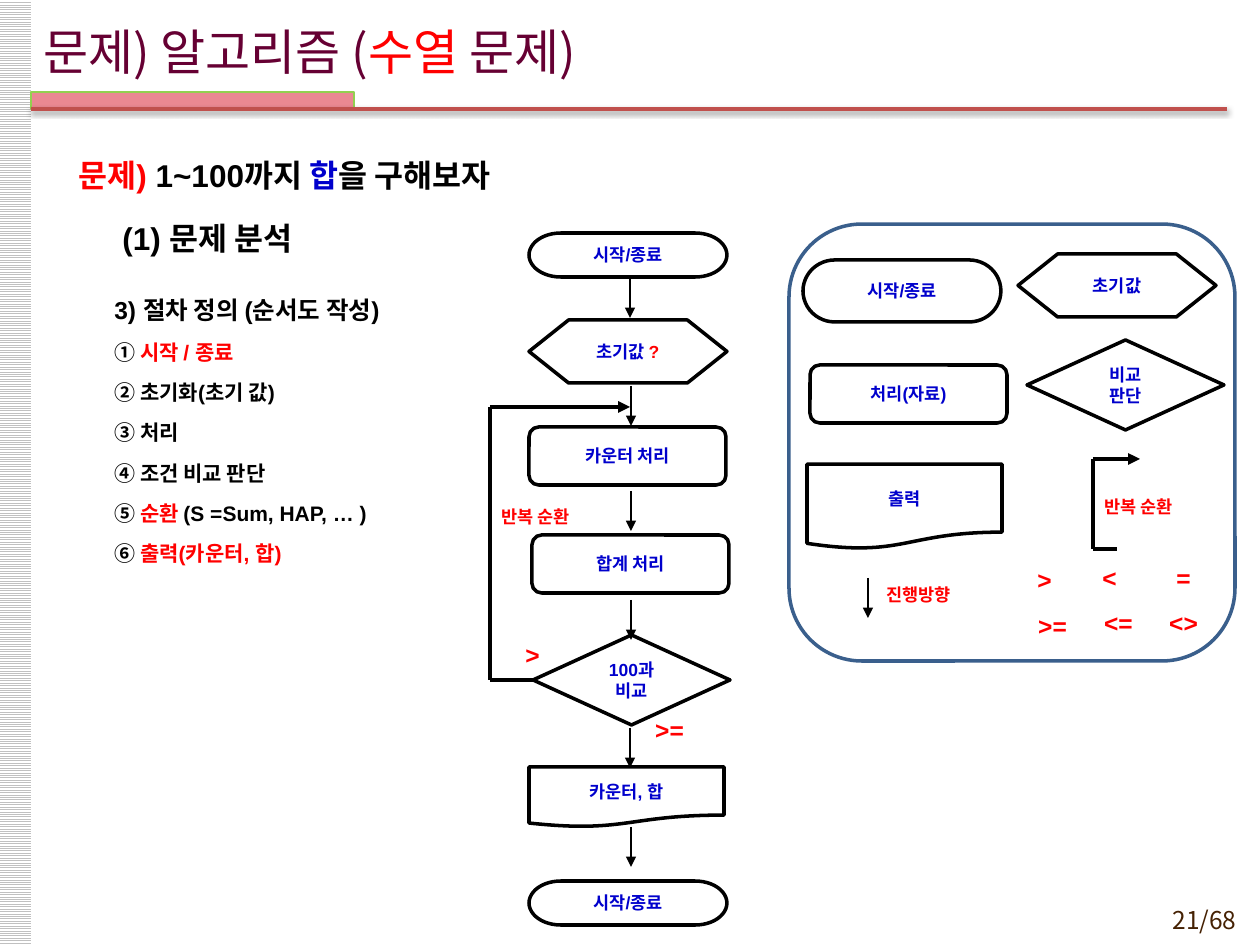
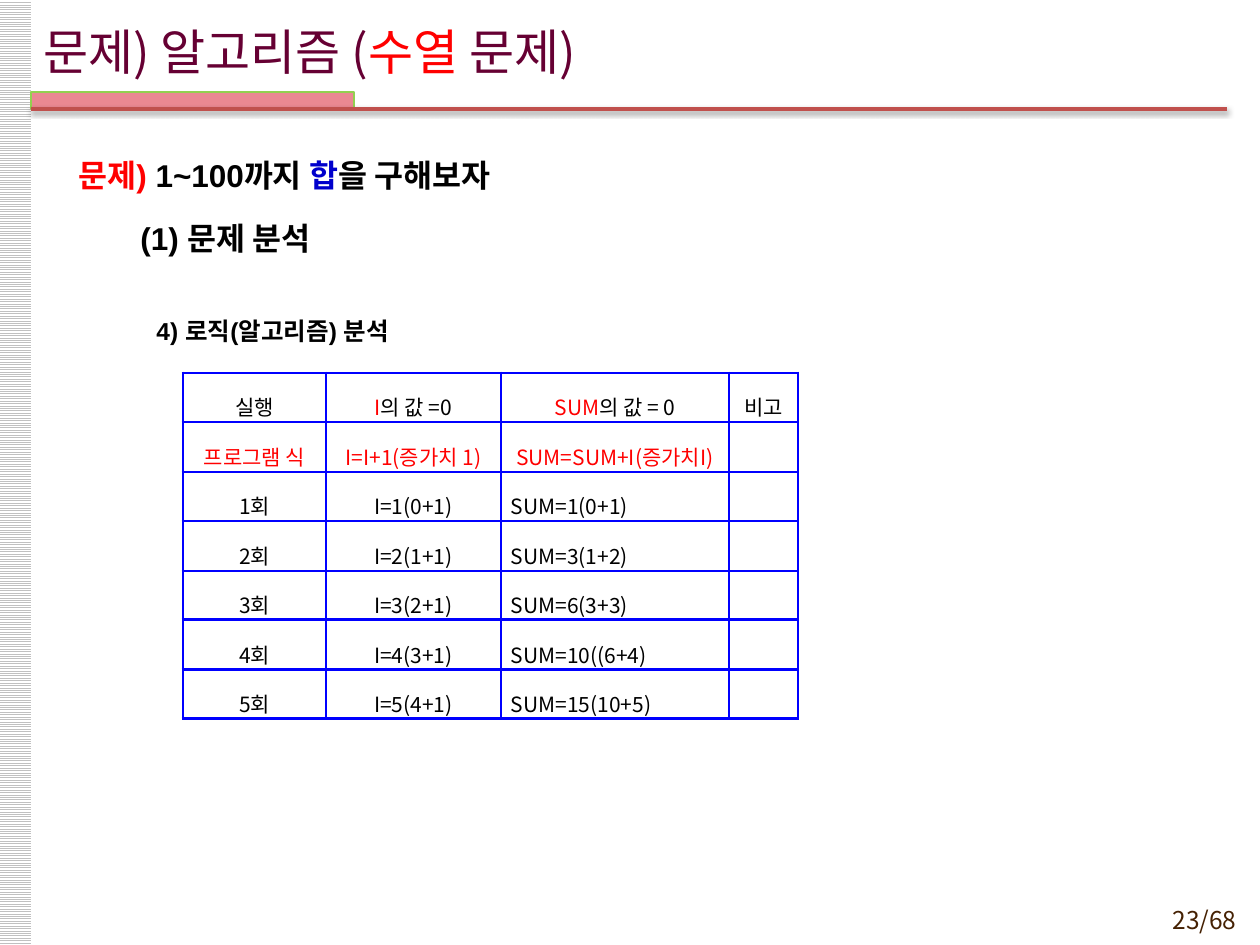
from pptx import Presentation
from pptx.dml.color import RGBColor
from pptx.enum.dml import MSO_PATTERN
from pptx.enum.shapes import MSO_CONNECTOR, MSO_SHAPE
from pptx.enum.text import MSO_ANCHOR, PP_ALIGN
from pptx.oxml import parse_xml
from pptx.oxml.ns import nsdecls, qn
from pptx.util import Pt

PX = 914400 / 126
LEFT, MID, RIGHT, JUST = PP_ALIGN.LEFT, PP_ALIGN.CENTER, PP_ALIGN.RIGHT, PP_ALIGN.JUSTIFY
TOP, CENTER, BOTTOM = MSO_ANCHOR.TOP, MSO_ANCHOR.MIDDLE, MSO_ANCHOR.BOTTOM
RECT, PANEL = MSO_SHAPE.RECTANGLE, MSO_SHAPE.ROUNDED_RECTANGLE
ENDS = MSO_SHAPE.FLOWCHART_TERMINATOR
PREP = MSO_SHAPE.FLOWCHART_PREPARATION
STEP = MSO_SHAPE.FLOWCHART_ALTERNATE_PROCESS
TEST = MSO_SHAPE.FLOWCHART_DECISION
DOC = MSO_SHAPE.FLOWCHART_DOCUMENT
STRAIGHT = MSO_CONNECTOR.STRAIGHT
STRIPES = MSO_PATTERN.LIGHT_HORIZONTAL
ARIAL, NOTO = "Arial", "Noto Sans CJK KR"
HEX = {
    "black": "000000", "red": "FF0000", "blue": "0000CC", "plum": "660033",
    "brown": "452103", "pink": "EA8892", "green": "92D050", "rule": "C0504D",
    "navy": "3A5F8C", "grid": "0000FF", "gray": "C0C0C0", "white": "FFFFFF",
}
RGB = {name: RGBColor.from_string(code) for name, code in HEX.items()}


def write(frame, paras, size, font=ARIAL, align=LEFT, pitch=None, anchor=TOP):
    """Fill a frame; each paragraph is a list of (text, colour) runs."""
    frame.word_wrap = True
    frame.vertical_anchor = anchor
    for i, runs in enumerate(paras):
        para = frame.paragraphs[0] if i == 0 else frame.add_paragraph()
        para.alignment = align
        if pitch:
            para.line_spacing = Pt(pitch)
        for text, hue in runs:
            run = para.add_run()
            run.text = text
            run.font.size = Pt(size)
            run.font.bold = font == ARIAL
            run.font.name = font
            run.font.color.rgb = RGB[hue]
            run.font._element.append(parse_xml(f'<a:ea {nsdecls("a")} typeface="{NOTO}"/>'))


def draw(slide, ends, width, hue="black", arrow=False):
    """Draw a straight line without a shadow."""
    line = slide.shapes.add_connector(STRAIGHT, *[int(n * PX) for n in ends])
    line.line.width = Pt(width)
    line.line.color.rgb = RGB[hue]
    if arrow:
        line.line._get_or_add_ln().append(
            parse_xml(f'<a:tailEnd {nsdecls("a")} type="triangle"/>'))
    line._element.spPr.append(parse_xml(f'<a:effectLst {nsdecls("a")}/>'))
    return line


deck = Presentation()
deck.slide_width, deck.slide_height = int(1260 * PX), int(945 * PX)
pages = []

# Shared parts: band, title, rule, problem heading, page number
for number, head_w, indent in [("21/68", 549, 79), ("23/68", 1197, 97)]:
    page = deck.slides.add_slide(deck.slide_layouts[6])
    pages.append(page)
    for box, hue in [((-1, 0, 32, 945), None), ((31, 92, 323, 17), "pink")]:
        band = page.shapes.add_shape(RECT, *[int(n * PX) for n in box])
        band.shadow.inherit = False
        if hue:
            band.fill.solid()
            band.fill.fore_color.rgb = RGB[hue]
            band.line.color.rgb = RGB["green"]
            band.line.width = Pt(0.75)
        else:
            band.fill.patterned()
            band.fill.pattern = STRIPES
            band.fill.fore_color.rgb = RGB["gray"]
            band.fill.back_color.rgb = RGB["white"]
            band.line.fill.background()
    rule = draw(page, (31, 109, 1227, 109), 2, "rule")
    rule._element.spPr.find(qn("a:effectLst")).append(parse_xml(
        f'<a:outerShdw {nsdecls("a")} blurRad="39400" dist="20300" dir="5400000" '
        'rotWithShape="0"><a:srgbClr val="000000"><a:alpha val="38000"/>'
        '</a:srgbClr></a:outerShdw>'))

    title = [[("문제) 알고리즘 (", "plum"), ("수열", "red"), (" 문제)", "plum")]]
    head = [[("문제) ", "red"), ("1~100까지 ", "black"), ("합", "blue"),
             ("을 구해보자", "black")], [("(1) 문제 분석", "black")]]
    for box, paras, style in [
        ((31, 11, 1042, 79), title, dict(size=28, font=NOTO, anchor=CENTER)),
        ((31, 128, head_w, 126), head, dict(size=18, pitch=34)),
        ((1144, 898, 105, 37), [[(number, "brown")]],
         dict(size=14, font=NOTO, align=RIGHT, pitch=17)),
    ]:
        area = page.shapes.add_textbox(*[int(n * PX) for n in box])
        write(area.text_frame, paras, **style)
        if paras is head:
            first, second = area.text_frame.paragraphs
            second.space_before = Pt(2)
            for para, gap in [(first, 35), (second, indent)]:
                para._p.get_or_add_pPr().set("marL", str(int(gap * PX)))

flow, logic = pages

# Slide 1: list of steps
steps = [
    [("3) 절차 정의 (순서도 작성)", "black")],
    [("① ", "black"), ("시작 / 종료", "red")],
    [("② 초기화(초기 값)", "black")],
    [("③ 처리", "black")],
    [("④ 조건 비교 판단", "black")],
    [("⑤ ", "black"), ("순환", "red"), (" (S =Sum, HAP, … )", "black")],
    [("⑥ ", "black"), ("출력(카운터, 합)", "red")],
]
area = flow.shapes.add_textbox(*[int(n * PX) for n in (102, 271, 367, 305)])
write(area.text_frame, steps, 12, align=JUST, pitch=23)
lead = area.text_frame.paragraphs[0]
lead.line_spacing = Pt(27)
lead.runs[0].font.size = Pt(14)

# Slide 1: flowchart, then its legend
for kind, box, rows in [
    (ENDS, (529, 233, 198, 44), ["시작/종료"]),
    (PREP, (529, 320, 198, 63), ["초기값 "]),
    (STEP, (529, 427, 197, 58), ["카운터 처리"]),
    (STEP, (532, 535, 197, 58), ["합계 처리"]),
    (TEST, (533, 635, 197, 90), ["100과", "비교"]),
    (DOC, (529, 767, 195, 60), ["카운터, 합"]),
    (ENDS, (529, 881, 198, 44), ["시작/종료"]),
    (ENDS, (803, 260, 198, 62), ["시작/종료"]),
    (PREP, (1018, 254, 198, 63), ["초기값"]),
    (STEP, (810, 365, 197, 58), ["처리(자료)"]),
    (TEST, (1027, 340, 197, 90), ["비교", "판단"]),
    (DOC, (807, 464, 195, 85), ["출력"]),
    (PANEL, (789, 224, 446, 437), []),
]:
    node = flow.shapes.add_shape(kind, *[int(n * PX) for n in box])
    node.shadow.inherit = False
    node.fill.background()
    node.line.color.rgb = RGB["navy" if kind == PANEL else "black"]
    node.line.width = Pt(2)
    frame = node.text_frame
    frame.margin_left = frame.margin_right = frame.margin_top = frame.margin_bottom = 0
    paras = [[(row, "blue")] for row in rows]
    if rows == ["초기값 "]:
        paras[0].append(("?", "red"))
    write(frame, paras, 10, align=MID, pitch=12, anchor=CENTER)

# Slide 1: arrows down, then the two loops
for x, y in [(630, 278), (631, 386), (631, 491), (631, 600), (630, 728),
             (631, 827), (868, 578)]:
    draw(flow, (x, y, x, y + 40), 1.5, arrow=True)
for x, top, low, tip, foot in [(490, 407, 680, 630, 533), (1093, 459, 549, 1140, 1117)]:
    draw(flow, (x, top, tip, top), 2.25, arrow=True)
    draw(flow, (x, top, x, low), 2.25)
    draw(flow, (x, low, foot, low), 2.25)

# Slide 1: red labels and signs
for text, x, y, w, h in [("반복 순환", 489, 500, 126, 102), ("반복 순환", 1092, 490, 103, 34),
                         ("진행방향", 874, 578, 98, 34)]:
    area = flow.shapes.add_textbox(*[int(n * PX) for n in (x, y, w, h)])
    write(area.text_frame, [[(text, "red")]], 10, pitch=12)
for sign, x, y in [(">", 493, 634), (">=", 630, 709), (">", 1005, 559), ("<", 1070, 557),
                   ("=", 1144, 557), (">=", 1013, 605), ("<=", 1079, 602), ("<>", 1144, 602)]:
    area = flow.shapes.add_textbox(*[int(n * PX) for n in (x, y, 79, 43)])
    write(area.text_frame, [[(sign, "red")]], 14, align=MID)

# Slide 2: heading and table of the runs
area = logic.shapes.add_textbox(*[int(n * PX) for n in (144, 292, 348, 54)])
write(area.text_frame, [[("4) 로직(알고리즘) 분석", "black")]], 14, align=JUST, pitch=27)

cells = [
    [[("실행", "black")], [("I", "red"), ("의 값 =0", "black")],
     [("SUM", "red"), ("의 값 = 0", "black")], [("비고", "black")]],
    [[("프로그램 식", "red")], [("I=I+1(증가치 1)", "red")],
     [("SUM=SUM+I(증가치I)", "red")], []],
]
sums = ["1(0+1)", "3(1+2)", "6(3+3)", "10((6+4)", "15(10+5)"]
for i, total in enumerate(sums, 1):
    texts = [f"{i}회", f"I={i}({i - 1}+1)", f"SUM={total}"]
    cells.append([[(text, "black")] for text in texts] + [[]])

wide = [143, 175, 228, 69]
table = logic.shapes.add_table(
    len(cells), len(wide), *[int(n * PX) for n in (183, 373, sum(wide), 347)]).table
table.first_row = table.horz_banding = False
for col, width in zip(table.columns, wide):
    col.width = int(width * PX)
for r, row in enumerate(cells):
    table.rows[r].height = int((50 if r % 2 else 49) * PX)
    for c, runs in enumerate(row):
        cell = table.cell(r, c)
        body = r > 1 and c == 2
        cell.margin_left = int((10 if body else 2) * PX)
        cell.margin_right = cell.margin_top = int(2 * PX)
        cell.margin_bottom = 0
        cell.vertical_anchor = BOTTOM
        cell.fill.background()
        write(cell.text_frame, [runs], 12, NOTO, JUST if body else MID, 26, BOTTOM)
        cell.text_frame.paragraphs[0].font.size = Pt(12)
        for i, side in enumerate("LRTB"):
            cell._tc.get_or_add_tcPr().insert(i, parse_xml(
                f'<a:ln{side} {nsdecls("a")} w="21600"><a:solidFill>'
                f'<a:srgbClr val="{HEX["grid"]}"/></a:solidFill></a:ln{side}>'))

deck.save("out.pptx")
